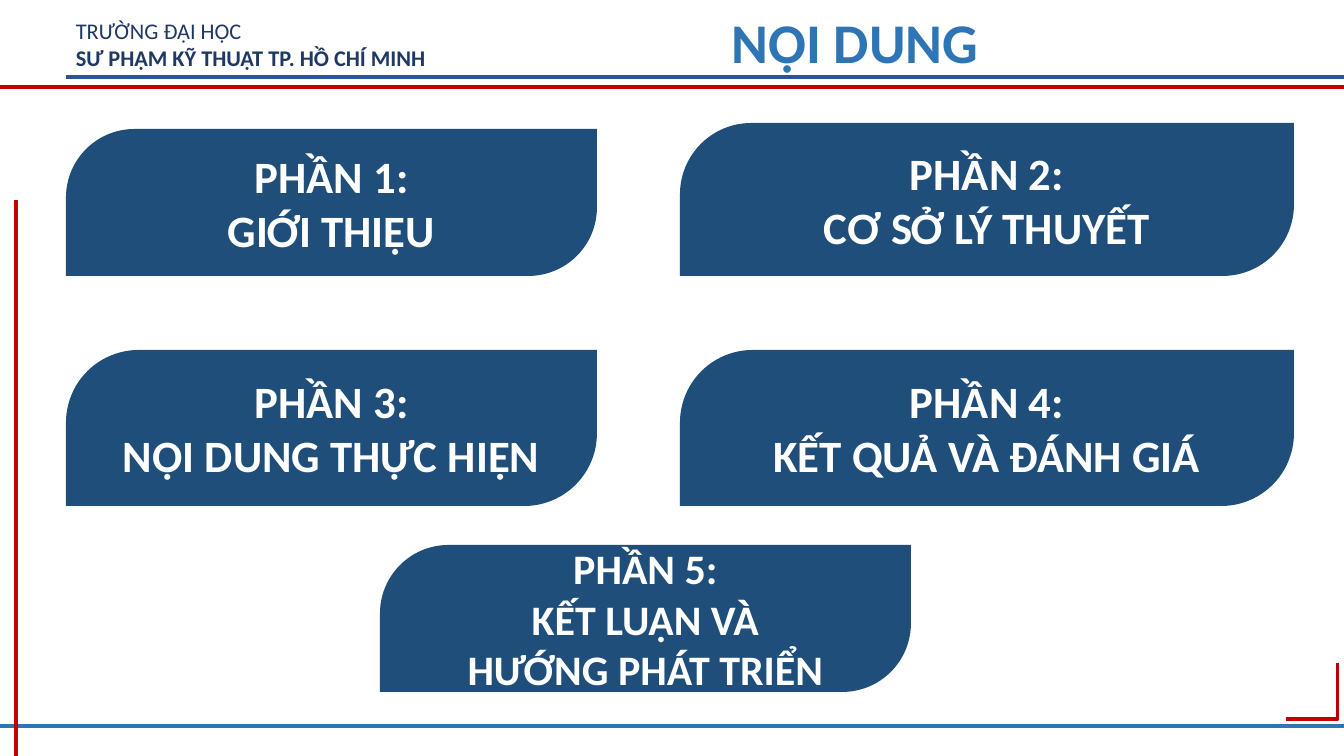
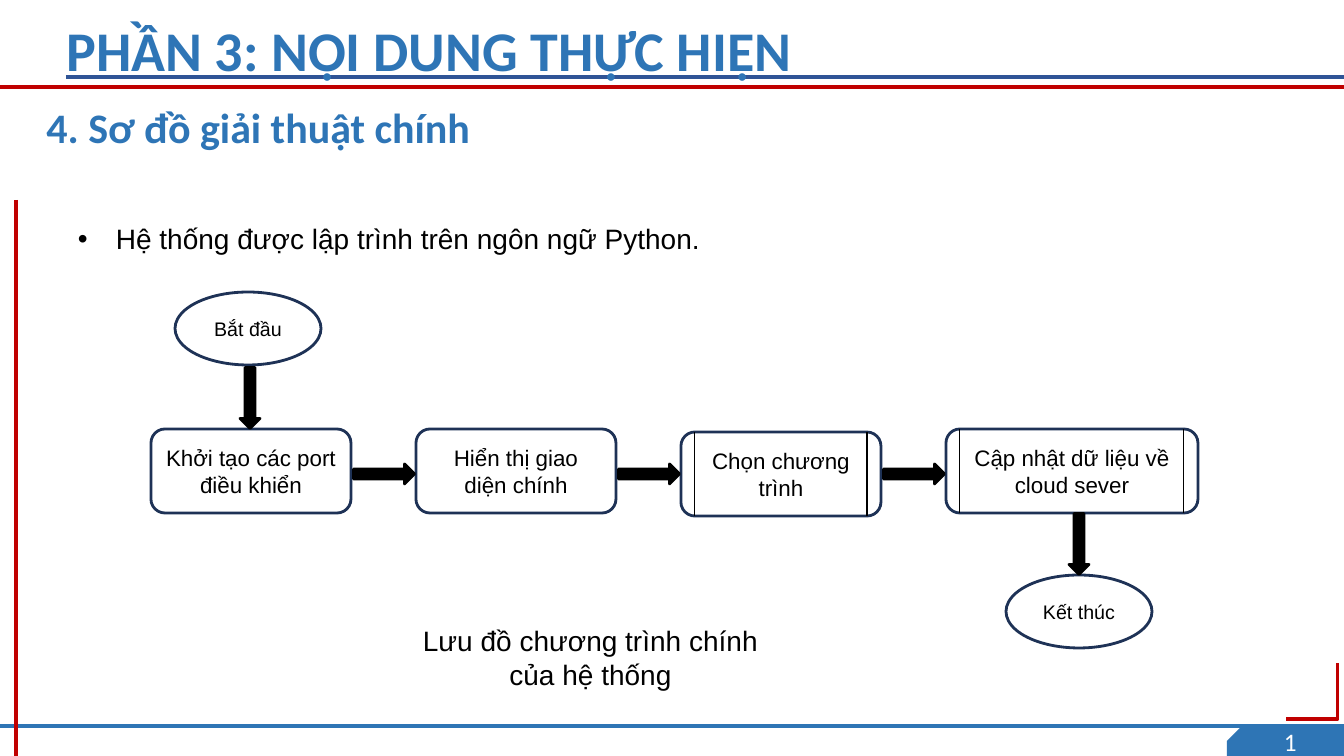
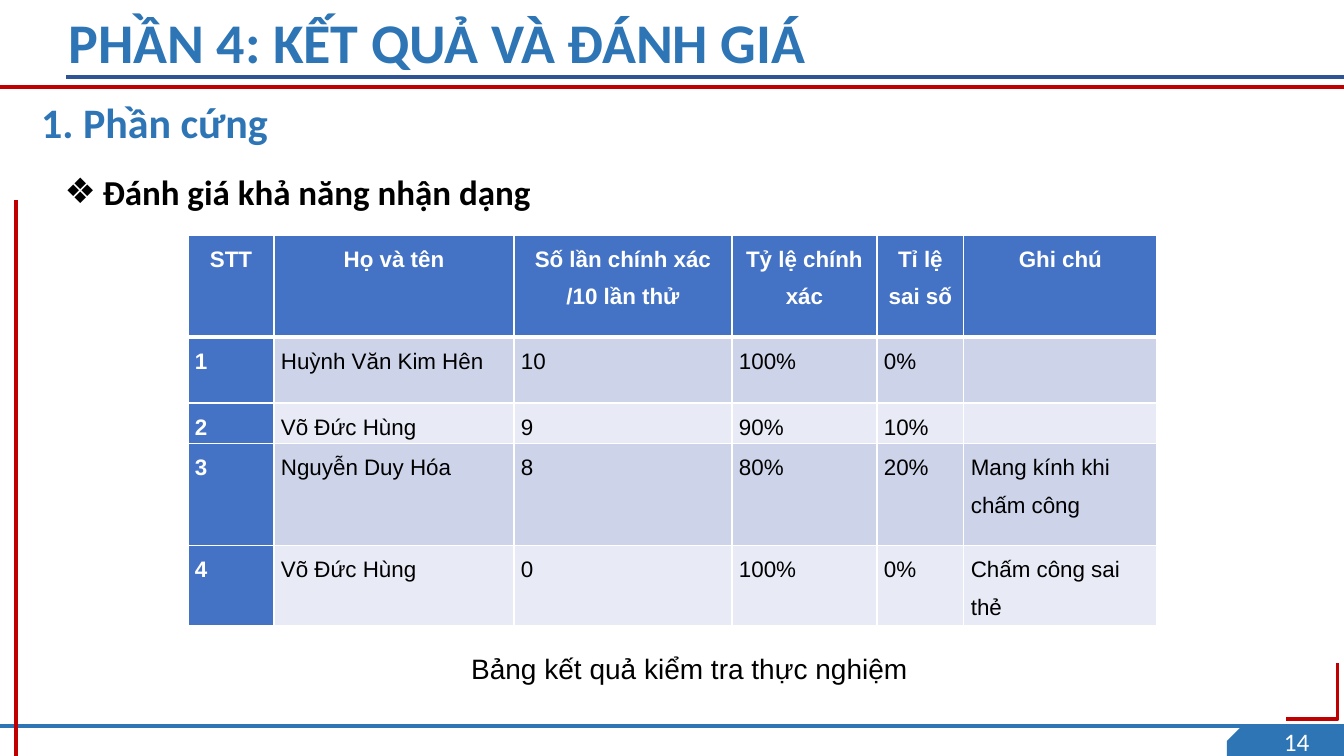
from lxml.etree import SubElement
from pptx import Presentation
from pptx.dml.color import RGBColor
from pptx.enum.shapes import MSO_CONNECTOR, MSO_SHAPE
from pptx.enum.text import MSO_ANCHOR, PP_ALIGN
from pptx.oxml.ns import qn
from pptx.util import Emu, Pt

# Shared look
SCALE = 914400 / 100.8
WIDTH, HEIGHT = 1344, 756
BLUE, FOOTER_BLUE, RULE_BLUE = "2E75B6", "2E75B5", "2F5496"
NAVY, PANEL, OUTLINE = "1F3864", "1E4E79", "1E3256"
RED, BLACK, WHITE = "C00000", "000000", "FFFFFF"
HEADER_FILL, BAND_FILLS = "4472C4", ("CDD4EA", "E8EBF5")
HEADING, BODY = "Calibri", "Arial"
LEFT, CENTER = PP_ALIGN.LEFT, PP_ALIGN.CENTER

FRAME_LINES = [  # x1, y1, x2, y2, colour
    (66, 77, WIDTH, 77, RULE_BLUE),
    (0, 87, WIDTH, 87, RED),
    (0, 726, WIDTH, 726, FOOTER_BLUE),
    (16, 200, 16, HEIGHT, RED),
]
CORNER = [(1338, 663), (1338, 719), (1286, 719)]

# Slide 1: contents
SCHOOL = ("TRƯỜNG ĐẠI HỌC", "SƯ PHẠM KỸ THUẬT TP. HỒ CHÍ MINH")
PANELS = [  # left, top, width, height, text size, lines
    (66, 129, 531, 147, 32, ["PHẦN 1:", "GIỚI THIỆU"]),
    (680, 123, 614, 153, 32, ["PHẦN 2:", "CƠ SỞ LÝ THUYẾT"]),
    (66, 350, 531, 156, 32, ["PHẦN 3:", "NỘI DUNG THỰC HIỆN"]),
    (680, 350, 614, 156, 32, ["PHẦN 4:", "KẾT QUẢ VÀ ĐÁNH GIÁ"]),
    (380, 545, 531, 147, 30, ["PHẦN 5:", "KẾT LUẬN VÀ\nHƯỚNG PHÁT TRIỂN"]),
]

# Slide 2: flowchart
STEPS = [  # text, top, width, has side bars
    ("Khởi tạo các port điều khiển", 429, 200, False),
    ("Hiển thị giao diện chính", 429, 200, False),
    ("Chọn chương trình", 432, 200, True),
    ("Cập nhật dữ liệu về cloud sever", 429, 252, True),
]
STEP_LEFT, STEP_PITCH, STEP_HEIGHT, BAR_INSET = 151, 265, 84, 14
TERMINALS = [("Bắt đầu", 175, 292), ("Kết thúc", 1006, 575)]
ARROW_LENGTH, ARROW_THICKNESS = 61, 20
DOWN_ARROWS = [(250, 398), (1079, 544)]  # centres

# Slide 3: results
COLUMNS = [86, 240, 218, 145, 87, 193]
ROWS = [102, 66, 40, 102, 80]
RESULTS = [
    ("STT", "Họ và tên", "Số lần chính xác /10 lần thử", "Tỷ lệ chính xác",
     "Tỉ lệ\nsai số", "Ghi chú"),
    ("1", "Huỳnh Văn Kim Hên", "10", "100%", "0%", ""),
    ("2", "Võ Đức Hùng", "9", "90%", "10%", ""),
    ("3", "Nguyễn Duy Hóa", "8", "80%", "20%", "Mang kính khi chấm công"),
    ("4", "Võ Đức Hùng", "0", "100%", "0%", "Chấm công sai thẻ"),
]


def px(*values):
    return [Emu(round(value * SCALE)) for value in values]


def color(value):
    return RGBColor.from_string(value)


def style(para, size, font=BODY, ink=BLACK, bold=False, align=CENTER):
    para.alignment = align
    para.font.size, para.font.name, para.font.bold = Pt(size), font, bold
    para.font.color.rgb = color(ink)


def add_bullet(para, mark, indent=38):
    properties = para._p.get_or_add_pPr()
    offset = px(indent)[0]
    properties.set("marL", str(offset))
    properties.set("indent", str(-offset))
    SubElement(properties, qn("a:buFont")).set("typeface", BODY)
    SubElement(properties, qn("a:buChar")).set("char", mark)


def write(frame, lines, size, bullet=None, **look):
    frame.word_wrap = True
    for index, line in enumerate(lines):
        para = frame.add_paragraph() if index else frame.paragraphs[0]
        para.text = line
        if bullet:
            add_bullet(para, bullet)
        style(para, size, **look)


def add_text(page, box, lines, size, **look):
    frame = page.shapes.add_textbox(*px(*box)).text_frame
    write(frame, lines, size, **look)
    return frame.paragraphs


def add_line(page, x1, y1, x2, y2, ink, width=2.25):
    line = page.shapes.add_connector(MSO_CONNECTOR.STRAIGHT, *px(x1, y1, x2, y2))
    line.line.color.rgb, line.line.width = color(ink), Pt(width)
    SubElement(line.element.spPr, qn("a:effectLst"))


def add_block(page, kind, box, fill, outline=None):
    shape = page.shapes.add_shape(kind, *px(*box))
    shape.shadow.inherit = False
    shape.fill.solid()
    shape.fill.fore_color.rgb = color(fill)
    if outline:
        shape.line.color.rgb, shape.line.width = color(outline), Pt(2)
    else:
        shape.line.fill.background()
    shape.text_frame.vertical_anchor = MSO_ANCHOR.MIDDLE
    return shape


def add_page(deck, title, title_box, number=None):
    page = deck.slides.add_slide(deck.slide_layouts[6])
    for line in FRAME_LINES:
        add_line(page, *line)
    if number:
        tab = add_block(page, MSO_SHAPE.SNIP_1_RECTANGLE, (1227, 726, 119, 30), FOOTER_BLUE)
        tab.adjustments[0] = 0.5
        tab.element.spPr.find(qn("a:xfrm")).set("flipH", "1")
        add_text(page, (1274, 721, 75, 40), [number], 18, font=HEADING, ink=WHITE, align=LEFT)
    builder = page.shapes.build_freeform(*CORNER[0], scale=SCALE)
    builder.add_line_segments(CORNER[1:], close=False)
    corner = builder.convert_to_shape()
    corner.shadow.inherit = False
    corner.fill.background()
    corner.line.color.rgb, corner.line.width = color(RED), Pt(2.25)
    add_text(page, title_box, [title], 40, font=HEADING, ink=BLUE, bold=True)
    return page


def add_subtitle(page, box, text):
    add_text(page, box, [text], 30, font=HEADING, ink=BLUE, bold=True)


def contents_page(deck):
    page = add_page(deck, "NỘI DUNG", (650, 3, 410, 78))
    school = add_text(page, (66, 12, 437, 65), SCHOOL, 16, font=HEADING, ink=NAVY, align=LEFT)
    school[1].font.bold = True
    for *box, size, lines in PANELS:
        panel = add_block(page, MSO_SHAPE.ROUND_2_DIAG_RECTANGLE, box, PANEL)
        panel.adjustments[0] = 0.466
        write(panel.text_frame, lines, size, font=HEADING, ink=WHITE, bold=True)


def add_arrow(page, center_x, center_y, rotation=0):
    box = (center_x - ARROW_LENGTH / 2, center_y - ARROW_THICKNESS / 2,
           ARROW_LENGTH, ARROW_THICKNESS)
    add_block(page, MSO_SHAPE.RIGHT_ARROW, box, BLACK, BLACK).rotation = rotation


def flowchart_page(deck):
    page = add_page(deck, "PHẦN 3: NỘI DUNG THỰC HIỆN", (-66, 11, 990, 78), "1")
    add_subtitle(page, (-166, 97, 849, 61), "4. Sơ đồ giải thuật chính")
    intro = add_text(page, (68, 200, 676, 54), ["Hệ thống được lập trình trên ngôn ngữ Python."],
                     20, bullet="•", align=LEFT)
    intro[0].line_spacing = 1.5
    add_text(page, (405, 619, 371, 78), ["Lưu đồ chương trình chính của hệ thống"], 20)

    for text, left, top in TERMINALS:
        terminal = add_block(page, MSO_SHAPE.OVAL, (left, top, 146, 73), WHITE, OUTLINE)
        write(terminal.text_frame, [text], 14)
    for index, (text, top, width, has_bars) in enumerate(STEPS):
        left = STEP_LEFT + index * STEP_PITCH
        step = add_block(page, MSO_SHAPE.ROUNDED_RECTANGLE, (left, top, width, STEP_HEIGHT),
                         WHITE, OUTLINE)
        write(step.text_frame, [text], 16)
        if has_bars:
            for x in (left + BAR_INSET, left + width - BAR_INSET):
                add_line(page, x, top, x, top + STEP_HEIGHT, BLACK, 0.75)
        if index:
            add_arrow(page, left - 32, 474)
    for center in DOWN_ARROWS:
        add_arrow(page, *center, rotation=90)


def add_borders(cell, bottom_width):
    properties = cell._tc.get_or_add_tcPr()
    for side, width in (("L", 1), ("R", 1), ("T", 1), ("B", bottom_width)):
        edge = SubElement(properties, qn(f"a:ln{side}"), w=str(Pt(width)))
        fill = SubElement(edge, qn("a:solidFill"))
        SubElement(fill, qn("a:srgbClr"), val=WHITE)


def results_page(deck):
    page = add_page(deck, "PHẦN 4: KẾT QUẢ VÀ ĐÁNH GIÁ", (-58, 3, 990, 78), "14")
    add_subtitle(page, (-6, 92, 321, 61), "1. Phần cứng")
    add_text(page, (24, 166, 547, 52), ["Đánh giá khả năng nhận dạng"], 25,
             bullet="❖", font=HEADING, bold=True)
    table = page.shapes.add_table(len(ROWS), len(COLUMNS),
                                  *px(188, 235, sum(COLUMNS), sum(ROWS))).table
    for column, width in zip(table.columns, COLUMNS):
        column.width = px(width)[0]
    for row_index, values in enumerate(RESULTS):
        table.rows[row_index].height = px(ROWS[row_index])[0]
        for column_index, value in enumerate(values):
            cell = table.cell(row_index, column_index)
            is_head = row_index == 0 or column_index == 0
            add_borders(cell, 1 if row_index else 3)
            cell.fill.solid()
            cell.fill.fore_color.rgb = color(
                HEADER_FILL if is_head else BAND_FILLS[(row_index - 1) % 2])
            cell.margin_left = cell.margin_right = px(7)[0]
            cell.margin_top = cell.margin_bottom = 0
            write(cell.text_frame, [value], 16, ink=WHITE if is_head else BLACK,
                  bold=is_head, align=LEFT if row_index else CENTER)
            cell.text_frame.paragraphs[0].line_spacing = 1.5
    add_text(page, (447, 647, 485, 44), ["Bảng kết quả kiểm tra thực nghiệm"], 20)


def main():
    deck = Presentation()
    deck.slide_width, deck.slide_height = px(WIDTH, HEIGHT)
    contents_page(deck)
    flowchart_page(deck)
    results_page(deck)
    deck.save("out.pptx")


if __name__ == "__main__":
    main()
